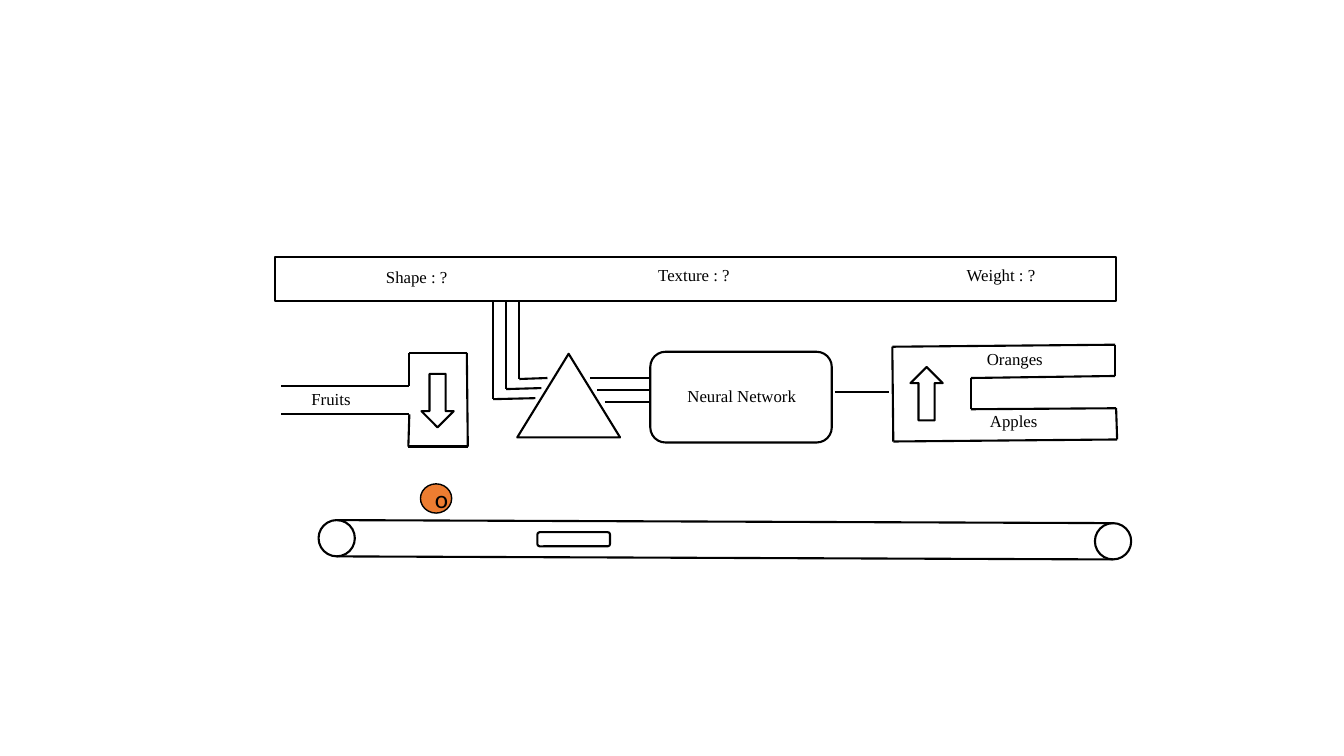
from dataclasses import dataclass

from lxml import etree
from pptx import Presentation
from pptx.dml.color import RGBColor
from pptx.enum.shapes import MSO_CONNECTOR, MSO_SHAPE
from pptx.enum.text import MSO_ANCHOR, MSO_AUTO_SIZE, PP_ALIGN
from pptx.oxml.ns import qn
from pptx.util import Inches, Pt

BLACK = RGBColor(0x00, 0x00, 0x00)
WHITE = RGBColor(0xFF, 0xFF, 0xFF)
ORANGE = RGBColor(0xED, 0x7D, 0x31)

RECT = MSO_SHAPE.RECTANGLE
ROUND = MSO_SHAPE.ROUNDED_RECTANGLE
PROCESS = MSO_SHAPE.FLOWCHART_ALTERNATE_PROCESS
PRISM = MSO_SHAPE.ISOSCELES_TRIANGLE
ARROW = MSO_SHAPE.DOWN_ARROW
DISC = MSO_SHAPE.OVAL
STRAIGHT = MSO_CONNECTOR.STRAIGHT
MIDDLE = MSO_ANCHOR.MIDDLE
CENTER = PP_ALIGN.CENTER
GROW = MSO_AUTO_SIZE.SHAPE_TO_FIT_TEXT

CELL = 0.1  # grid cell in inches
LABEL_FONT = {"name": "Times New Roman", "size": Pt(12)}
FRUIT_FONT = {"name": "Calibri", "size": Pt(18)}

Point = tuple[float, float]


@dataclass(frozen=True)
class Part:
    kind: int
    col: float
    row: float
    cols: float
    rows: float
    turn: int = 0
    fill: RGBColor = WHITE
    line: float = 1.5


@dataclass(frozen=True)
class Label:
    text: str
    col: float
    row: float
    cols: float


PARTS = [
    Part(RECT, 27.3, 25.5, 83.4, 4.4),
    Part(PRISM, 51.3, 35.1, 10.2, 8.3),
    Part(PROCESS, 64.5, 34.9, 18, 9),
    Part(ARROW, 41.8, 37.1, 3.2, 5.3),
    Part(ARROW, 90.3, 36.4, 3.2, 5.3, turn=180),
    Part(DISC, 31.6, 51.6, 3.6, 3.6),
    Part(DISC, 108.6, 51.9, 3.6, 3.6),
    Part(ROUND, 53.3, 52.8, 7.2, 1.4),
]
FRUIT = Part(DISC, 41.7, 48, 3.1, 2.9, fill=ORANGE, line=1)

LABELS = [
    Label("Shape : ?", 37.3, 26, 9.7),
    Label("Texture : ?", 64.3, 25.8, 9.7),
    Label("Weight : ?", 94.9, 25.8, 9.7),
    Label("Neural Network", 67.2, 37.8, 13.6),
    Label("Oranges", 96.9, 34.1, 13.6),
    Label("Apples", 97.2, 40.3, 13.6),
    Label("Fruits", 29.9, 38.1, 8.2),
]

INLET = [(27.9, 38.3), (40.6, 38.3), (40.6, 35), (46.3, 35),
         (46.4, 44.3), (40.5, 44.3), (40.6, 41.1), (27.9, 41.1)]
SORTER = [(88.5, 34.4), (110.6, 34.2), (110.6, 37.3), (96.3, 37.5), (96.3, 40.6),
          (110.7, 40.5), (110.8, 43.6), (88.6, 43.8), (88.5, 34.4)]
OUTPUT = [(82.8, 38.9), (88.2, 38.9)]
BELT = [[(33.4, 51.6), (110.5, 51.9)], [(33.4, 55.2), (110.4, 55.5)]]
WIRES = [[(48.9 + 1.3 * i, 30), (48.9 + 1.3 * i, 39.6 - i), (53.1 + 0.6 * i, 39.5 - i)]
         for i in range(3)]
LEADS = [[(60 - 0.75 * i, 39.9 - 1.2 * i), (64.5, 39.9 - 1.2 * i)] for i in range(3)]


def grid(*cells: float) -> list[int]:
    """Turn grid cells into slide lengths."""
    return [Inches(cell * CELL) for cell in cells]


def style(target, values: dict) -> None:
    for name, value in values.items():
        setattr(target, name, value)


def write(frame, text: str, font: dict) -> None:
    run = frame.paragraphs[0].add_run()
    run.text = text
    style(run.font, font)
    run.font.color.rgb = BLACK


def draw_part(shapes, part: Part):
    shape = shapes.add_shape(part.kind, *grid(part.col, part.row, part.cols, part.rows))
    shape.shadow.inherit = False
    shape.rotation = part.turn
    shape.fill.solid()
    shape.fill.fore_color.rgb = part.fill
    shape.line.color.rgb = BLACK
    shape.line.width = Pt(part.line)
    return shape


def draw_path(shapes, points: list[Point]) -> None:
    """Join each point to the next with a straight line."""
    for start, end in zip(points, points[1:]):
        line = shapes.add_connector(STRAIGHT, *grid(*start, *end))
        line.line.color.rgb = BLACK
        line.line.width = Pt(1.5)
        etree.SubElement(line._element.spPr, qn("a:effectLst"))


def draw_label(shapes, label: Label) -> None:
    box = shapes.add_textbox(*grid(label.col, label.row, label.cols, 3))
    style(box.text_frame, {"word_wrap": True, "auto_size": GROW})
    write(box.text_frame, label.text, LABEL_FONT)


def draw_fruit(shapes) -> None:
    frame = draw_part(shapes, FRUIT).text_frame
    frame.vertical_anchor = MIDDLE
    frame.paragraphs[0].alignment = CENTER
    write(frame, "o", FRUIT_FONT)


def main() -> None:
    deck = Presentation()
    style(deck, {"slide_width": Inches(13.33), "slide_height": Inches(7.5)})
    shapes = deck.slides.add_slide(deck.slide_layouts[6]).shapes
    for part in PARTS:
        draw_part(shapes, part)
    for points in [INLET, SORTER, OUTPUT, *BELT, *WIRES, *LEADS]:
        draw_path(shapes, points)
    for label in LABELS:
        draw_label(shapes, label)
    draw_fruit(shapes)
    deck.save("out.pptx")


if __name__ == "__main__":
    main()
